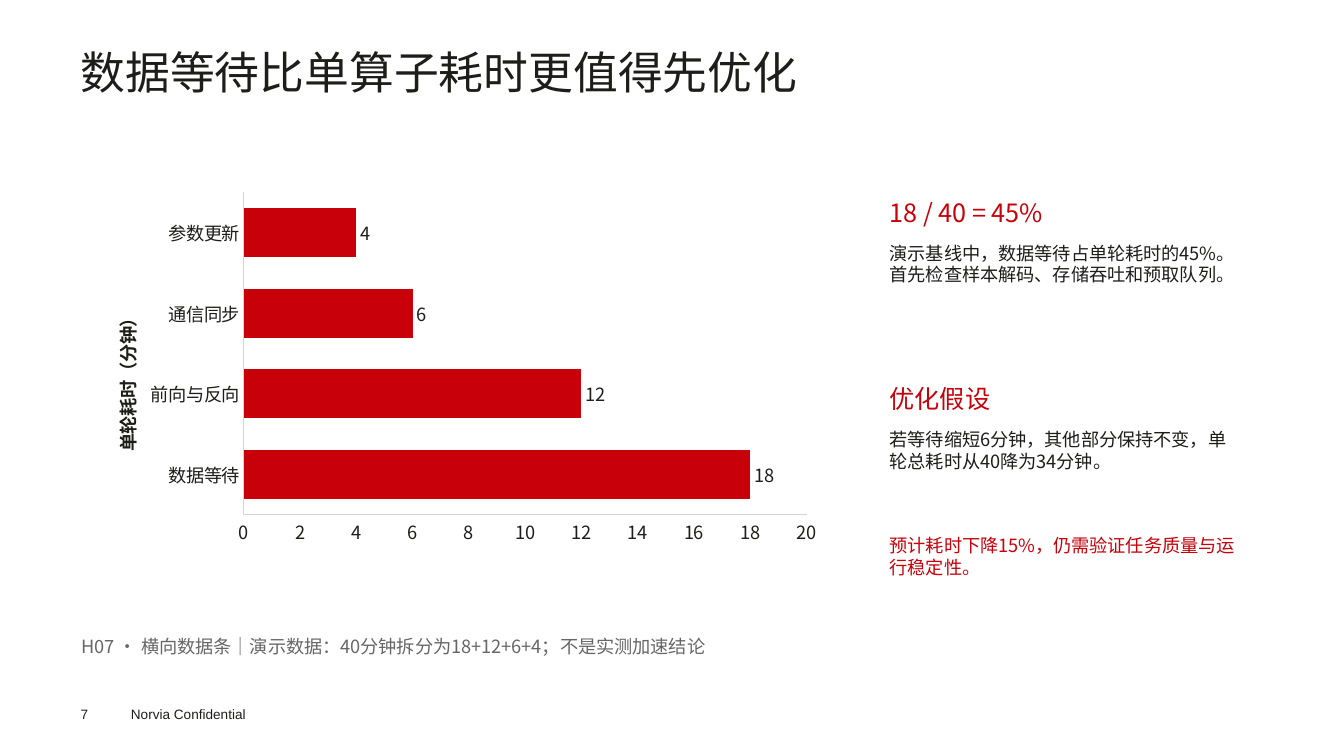
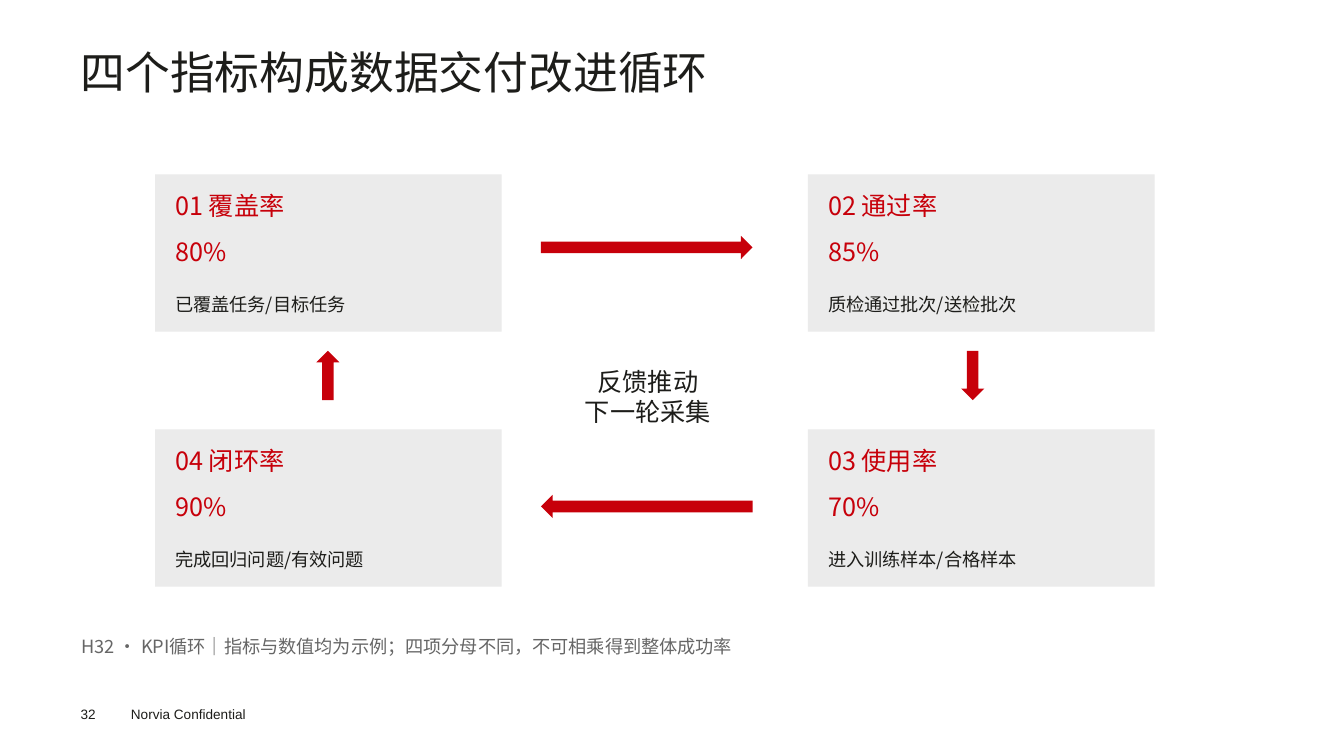
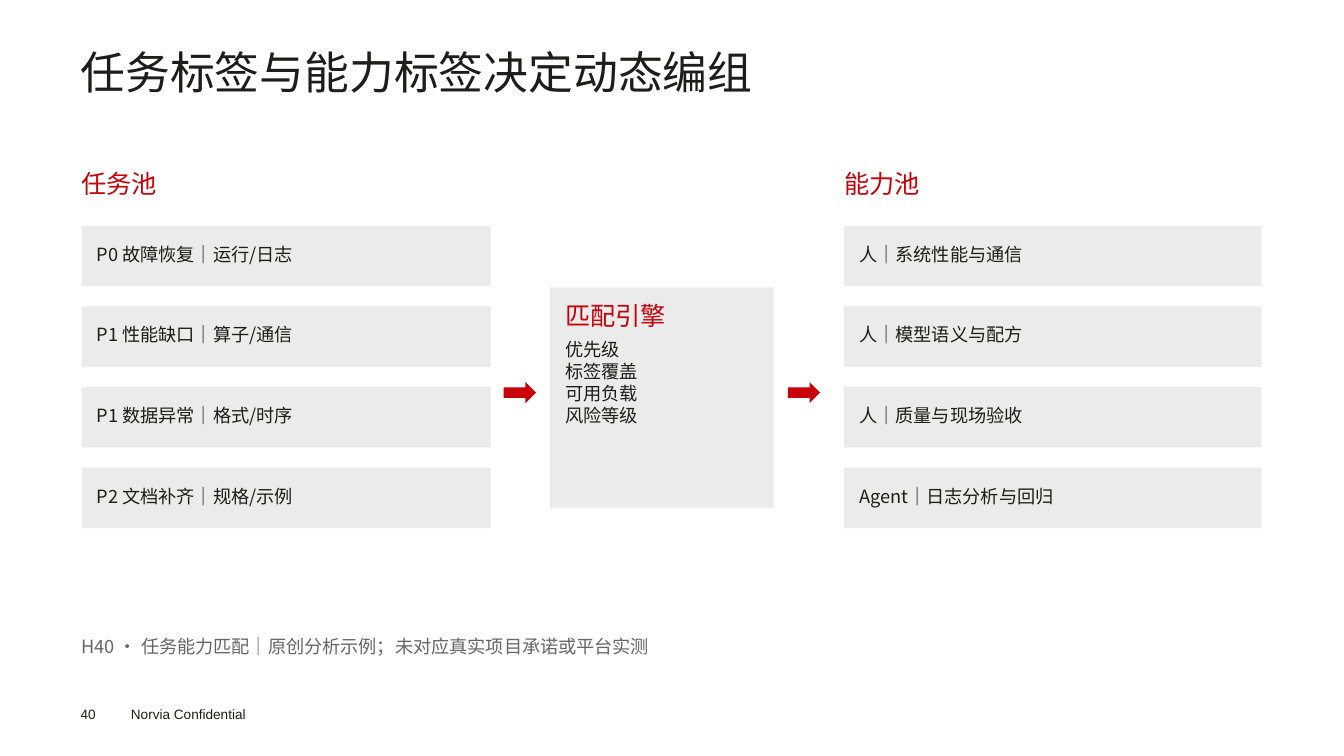
"""Build three report slides: a bar chart, a metric cycle and a matching flow."""
from lxml.etree import SubElement
from pptx import Presentation
from pptx.chart.data import CategoryChartData
from pptx.dml.color import RGBColor
from pptx.enum.chart import XL_CHART_TYPE, XL_LABEL_POSITION, XL_TICK_MARK
from pptx.enum.shapes import MSO_SHAPE
from pptx.enum.text import MSO_ANCHOR, MSO_AUTO_SIZE, PP_ALIGN
from pptx.oxml import parse_xml
from pptx.oxml.ns import nsdecls, qn
from pptx.util import Inches, Pt

RED = RGBColor(0xC7, 0x00, 0x0A)
INK = RGBColor(0x1D, 0x1D, 0x1A)
GREY = RGBColor(0x66, 0x66, 0x66)
PANEL = RGBColor(0xEB, 0xEB, 0xEB)
AXIS = RGBColor(0xD4, 0xD4, 0xD4)
FONT = "Noto Sans CJK SC"
HEAD, BODY, SMALL = 18, 13, 9.7
MARGIN = 0.81
CONFIDENTIAL = "Norvia Confidential"

TIMES = [("数据等待", 18), ("前向与反向", 12), ("通信同步", 6), ("参数更新", 4)]
TIME_TITLE = "单轮耗时（分钟）"
FINDINGS = [
    (1.96, 0.38, "18 / 40 = 45%", HEAD, RED),
    (2.4, 0.96, "演示基线中，数据等待占单轮耗时的45%。首先检查样本解码、存储吞吐和预取队列。", BODY, INK),
    (3.8, 0.38, "优化假设", HEAD, RED),
    (4.25, 0.72, "若等待缩短6分钟，其他部分保持不变，单轮总耗时从40降为34分钟。", BODY, INK),
    (5.3, 0.79, "预计耗时下降15%，仍需验证任务质量与运行稳定性。", BODY, RED),
]
METRICS = [
    (0, 0, "01 覆盖率", "80%", "已覆盖任务/目标任务"),
    (1, 0, "02 通过率", "85%", "质检通过批次/送检批次"),
    (1, 1, "03 使用率", "70%", "进入训练样本/合格样本"),
    (0, 1, "04 闭环率", "90%", "完成回归问题/有效问题"),
]
CYCLE_ARROWS = [
    (MSO_SHAPE.RIGHT_ARROW, 5.37, 2.34, 2.1, 0.23),
    (MSO_SHAPE.DOWN_ARROW, 9.54, 3.48, 0.23, 0.49),
    (MSO_SHAPE.LEFT_ARROW, 5.37, 4.91, 2.1, 0.23),
    (MSO_SHAPE.UP_ARROW, 3.14, 3.48, 0.23, 0.49),
]
CYCLE_CENTRE = "反馈推动\n下一轮采集"
POOLS = [
    (MARGIN, 4.06, "任务池", ["P0 故障恢复｜运行/日志", "P1 性能缺口｜算子/通信",
                           "P1 数据异常｜格式/时序", "P2 文档补齐｜规格/示例"]),
    (8.38, 4.14, "能力池", ["人｜系统性能与通信", "人｜模型语义与配方",
                         "人｜质量与现场验收", "Agent｜日志分析与回归"]),
]
ENGINE = ("匹配引擎", "优先级\n标签覆盖\n可用负载\n风险等级")


def style(font, size, color, name=FONT):
    font.size, font.name, font.color.rgb = Pt(size), name, color
    SubElement(font._element, qn("a:ea"), typeface=name)


def add_text(page, left, top, width, height, text, size=BODY, color=INK,
             align=PP_ALIGN.LEFT, name=FONT):
    box = page.shapes.add_textbox(*map(Inches, (left, top, width, height)))
    frame = box.text_frame
    frame.word_wrap = True
    frame.margin_left = frame.margin_right = frame.margin_top = frame.margin_bottom = 0
    frame.text = text
    for para in frame.paragraphs:
        para.alignment = align
        for span in para.runs:
            style(span.font, size, color, name)


def add_block(page, left, top, width, height, color=PANEL, kind=MSO_SHAPE.RECTANGLE):
    block = page.shapes.add_shape(kind, *map(Inches, (left, top, width, height)))
    block.shadow.inherit = False
    block.fill.solid()
    block.fill.fore_color.rgb = color
    block.line.fill.background()


def prepare_layout(deck):
    layout = deck.slide_layouts.get_by_name("Title Only")
    title = layout.placeholders[0]
    title.left, title.top, title.width, title.height = map(Inches, (0.8, 0.5, 11.75, 1.09))
    frame = title.text_frame
    frame.margin_left = frame.margin_right = frame.margin_top = frame.margin_bottom = 0
    frame.vertical_anchor = MSO_ANCHOR.TOP
    frame.auto_size = MSO_AUTO_SIZE.NONE
    frame.word_wrap = True
    return layout


def add_page(deck, layout, number, title, note):
    page = deck.slides.add_slide(layout)
    page.shapes.title.text_frame.text = title
    para = page.shapes.title.text_frame.paragraphs[0]
    para.alignment = PP_ALIGN.LEFT
    para.line_spacing = Pt(34.3)
    style(para.runs[0].font, 32, INK)
    add_text(page, MARGIN, 6.3, 11.74, 0.45, note, BODY, GREY)
    add_text(page, 0.8, 7, 0.45, 0.16, str(number), SMALL, INK, name="Arial")
    add_text(page, 1.3, 7, 1.5, 0.16, CONFIDENTIAL, SMALL, INK, name="Arial")
    return page


def manual_layout(target, **places):
    parts = "".join(f'<c:{key} val="{value}"/>' for key, value in places.items())
    return parse_xml(f'<c:layout {nsdecls("c")}><c:manualLayout>{target}'
                     f'<c:xMode val="edge"/><c:yMode val="edge"/>{parts}'
                     '</c:manualLayout></c:layout>')


def place_chart_parts(chart):
    plot_area = chart._chartSpace.chart.plotArea
    title = chart.category_axis.axis_title._element
    for owner in (plot_area, title):
        for old in owner.findall(qn("c:layout")):
            owner.remove(old)
    plot_area.insert(0, manual_layout('<c:layoutTarget val="inner"/>',
                                      x=0.216, y=0.021, w=0.75, h=0.877))
    title.find(qn("c:tx")).addnext(manual_layout("", x=0.037, y=0.33))


def add_time_chart(page):
    data = CategoryChartData()
    data.categories = [name for name, _ in TIMES]
    data.add_series("Series 1", [value for _, value in TIMES])
    chart = page.shapes.add_chart(XL_CHART_TYPE.BAR_CLUSTERED, *map(Inches, (MARGIN, 1.83, 7.45, 3.65)),
                                  data).chart
    chart.has_legend = chart.has_title = False
    style(chart.font, BODY, INK)
    for axis in (chart.category_axis, chart.value_axis):
        axis.has_major_gridlines = False
        axis.major_tick_mark = axis.minor_tick_mark = XL_TICK_MARK.NONE
        axis.format.line.color.rgb = AXIS
        axis.format.line.width = Pt(0.75)
        style(axis.tick_labels.font, BODY, INK)
    chart.value_axis.minimum_scale, chart.value_axis.maximum_scale = 0, 20
    chart.value_axis.major_unit = 2
    frame = chart.category_axis.axis_title.text_frame
    frame.text = TIME_TITLE
    span = frame.paragraphs[0].runs[0]
    style(span.font, BODY, INK)
    span.font.bold = True
    plot = chart.plots[0]
    plot.gap_width = 65
    plot.vary_by_categories = False
    series = plot.series[0]
    series.format.fill.solid()
    series.format.fill.fore_color.rgb = RED
    labels = series.data_labels
    labels.show_value = True
    labels.position = XL_LABEL_POSITION.OUTSIDE_END
    style(labels.font, BODY, INK)
    place_chart_parts(chart)


def fill_time_page(page):
    add_time_chart(page)
    for top, height, text, size, color in FINDINGS:
        add_text(page, 8.83, top, 3.49, height, text, size, color)


def fill_cycle_page(page):
    for column, row, name, value, formula in METRICS:
        left, top = 1.54 + 6.48 * column, 1.73 + 2.53 * row
        add_block(page, left, top, 3.44, 1.56)
        add_text(page, left + 0.2, top + 0.16, 3.02, 0.38, name, HEAD, RED)
        add_text(page, left + 0.2, top + 0.61, 1.56, 0.49, value, HEAD, RED)
        add_text(page, left + 0.2, top + 1.18, 3.02, 0.29, formula)
    for kind, *place in CYCLE_ARROWS:
        add_block(page, *place, RED, kind)
    add_text(page, 5.39, 3.63, 2.08, 0.71, CYCLE_CENTRE, HEAD, INK, PP_ALIGN.CENTER)


def fill_match_page(page):
    for left, width, name, items in POOLS:
        add_text(page, left, 1.67, width, 0.38, name, HEAD, RED)
        for row, item in enumerate(items):
            top = 2.24 + 0.8 * row
            add_block(page, left, top, width, 0.6)
            add_text(page, left + 0.15, top + 0.17, width - 0.3, 0.38, item)
    add_block(page, 5.46, 2.85, 2.22, 2.19)
    add_text(page, 5.61, 2.98, 1.93, 0.33, ENGINE[0], HEAD, RED)
    add_text(page, 5.61, 3.36, 1.93, 1.61, ENGINE[1])
    for left in (5, 7.82):
        add_block(page, left, 3.79, 0.32, 0.21, RED, MSO_SHAPE.RIGHT_ARROW)


PAGES = [
    (7, "数据等待比单算子耗时更值得先优化",
     "H07 · 横向数据条｜演示数据：40分钟拆分为18+12+6+4；不是实测加速结论", fill_time_page),
    (32, "四个指标构成数据交付改进循环",
     "H32 · KPI循环｜指标与数值均为示例；四项分母不同，不可相乘得到整体成功率", fill_cycle_page),
    (40, "任务标签与能力标签决定动态编组",
     "H40 · 任务能力匹配｜原创分析示例；未对应真实项目承诺或平台实测", fill_match_page),
]


def main():
    deck = Presentation()
    deck.slide_width, deck.slide_height = Inches(13.34), Inches(7.5)
    layout = prepare_layout(deck)
    for number, title, note, fill_page in PAGES:
        fill_page(add_page(deck, layout, number, title, note))
    deck.save("out.pptx")


if __name__ == "__main__":
    main()
